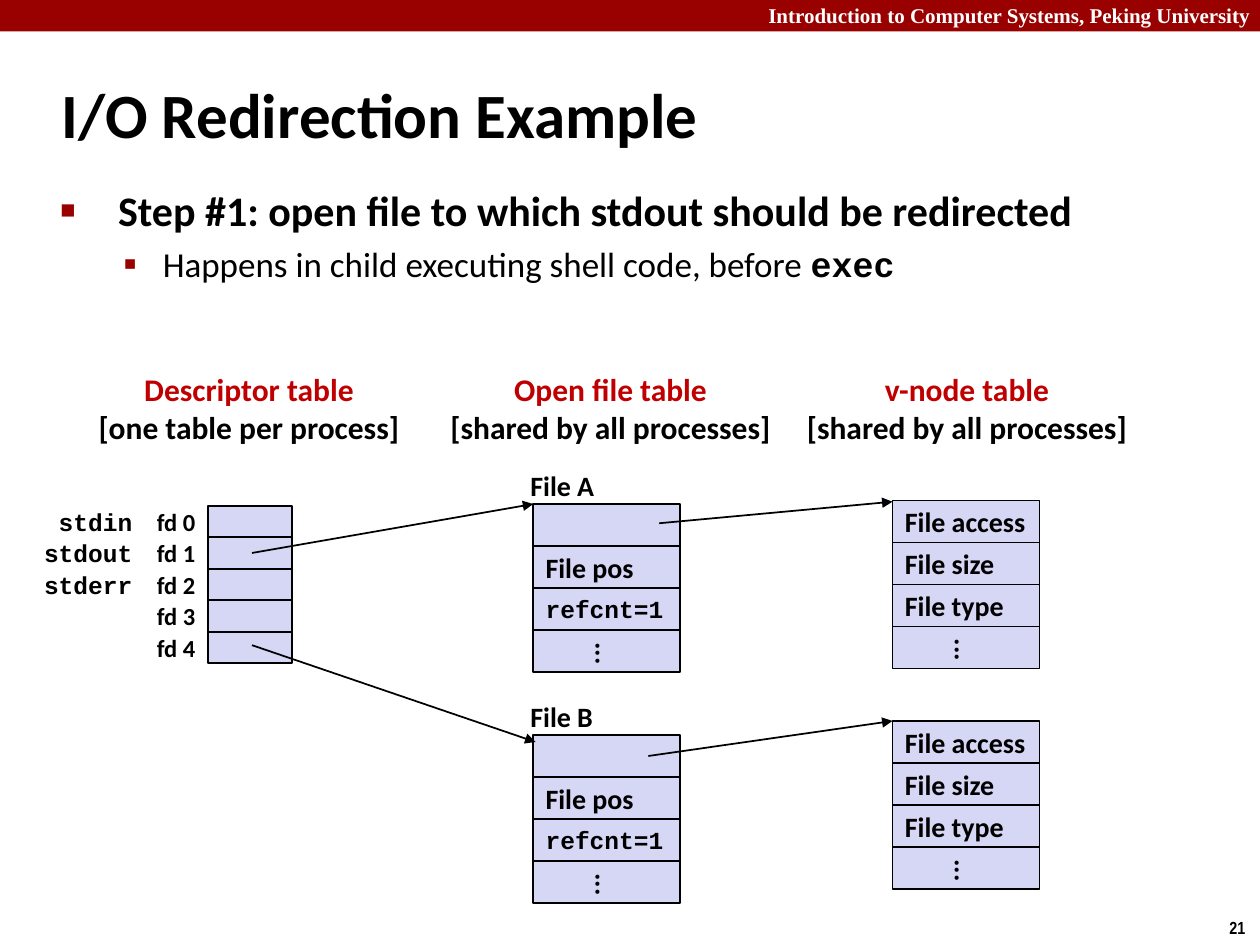
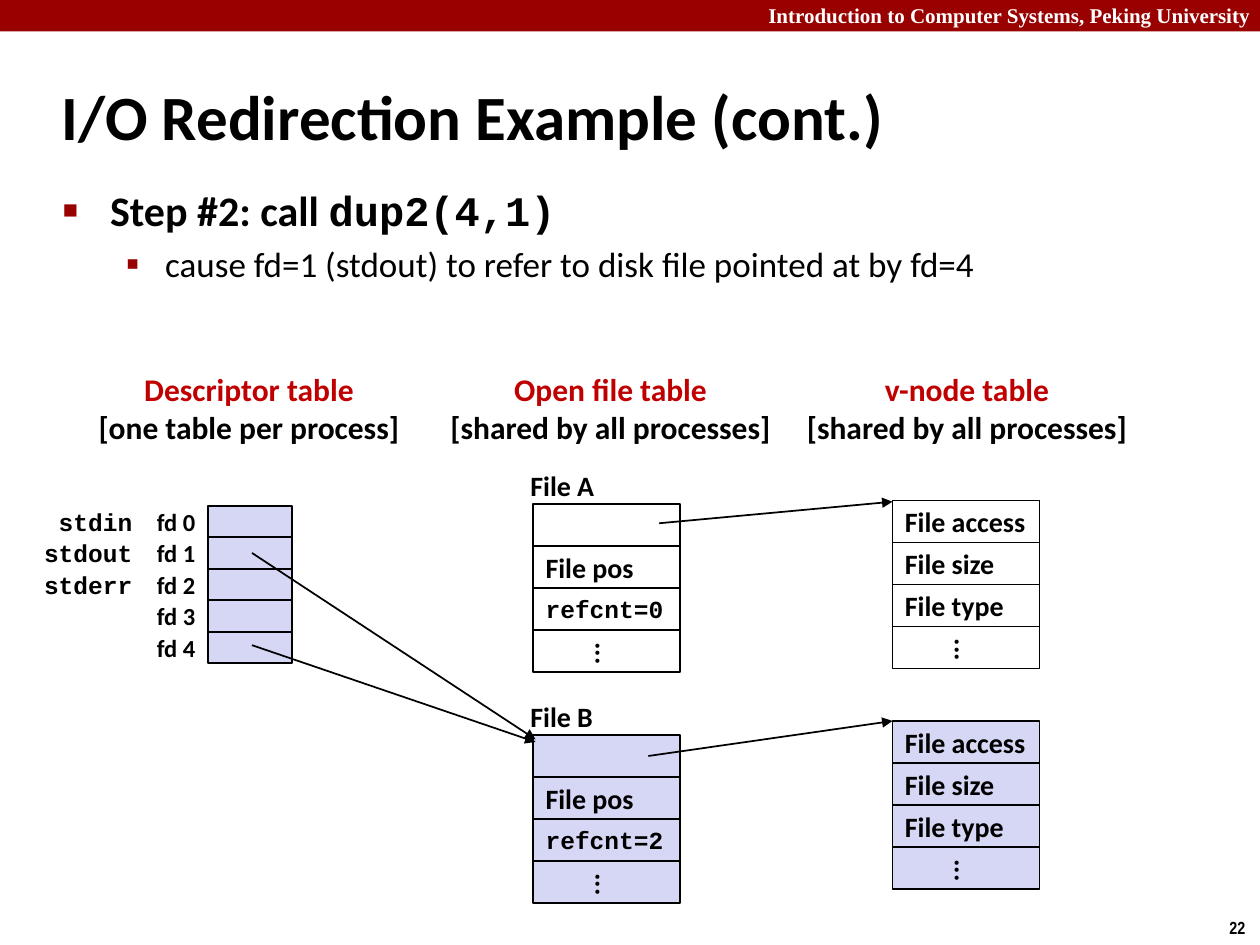
from dataclasses import dataclass
from lxml.etree import SubElement as Sub
from pptx import Presentation as Deck
from pptx.dml.color import RGBColor as Color
from pptx.enum.shapes import MSO_CONNECTOR as Link, MSO_SHAPE as Shape
from pptx.enum.text import MSO_ANCHOR as Anchor, PP_ALIGN as Align
from pptx.oxml.ns import qn
from pptx.util import Pt

BAND = "Introduction to Computer Systems, Peking University"
HEADS = [
    ("Descriptor table", "[one table per process]", 142.3),
    ("Open file table", "[shared by all processes]", 348.9),
    ("v-node table", "[shared by all processes]", 552.6),
]
STREAMS = ["stdin", "stdout", "stderr"]
NODE = ["File access", "File size", "File type", "..."]
PAGES = [
    dict(
        page="21", title="I/O Redirection Example", top=34.6, left=27.4, hang=33,
        step=[("Step #1: open file to which stdout should be redirected", "bold")],
        note=[("Happens in child executing shell code, before ", "plain"), ("exec", "code")],
        counts=(1, 1), fills=("cell", "cell"), goal=(304.7, 288),
    ),
    dict(
        page="22", title="I/O Redirection Example (cont.)", top=36, left=28.8, hang=27,
        step=[("Step #2: call ", "bold"), ("dup2(4,1)", "code")],
        note=[("cause fd=1 (stdout) to refer to disk file pointed at by fd=4", "plain")],
        counts=(0, 2), fills=("white", "cell"), goal=(306, 422.5),
    ),
]

FD_X, FD_Y, FD_W, FD_H, FD_N = 118.7, 289, 48, 18, 5
ROW_W, ROW_H = 84, 24
FILE_X, NODE_X = 304.7, 510
FILES = [
    ("File A", 288, 286, (376.7, 299), (510, 286.7)),
    ("File B", 420, 412, (370.5, 432), (510, 412)),
]


@dataclass(frozen=True)
class Theme:
    band: str = "990000"
    head: str = "C00000"
    cell: str = "D6D6F5"
    white: str = "FFFFFF"
    ink: str = "000000"
    sans: str = "Calibri"
    mono: str = "Courier New"
    serif: str = "Times New Roman"
    slim: str = "Arial Narrow"
    title: int = 36
    step: int = 24
    note: int = 20
    group: int = 18
    label: int = 16
    small: int = 14
    top: int = 12
    page: int = 10


T = Theme()


def style(run, size, face=T.sans, tint=T.ink, bold=True):
    font = run.font
    font.size, font.name, font.bold = Pt(size), face, bold
    font.color.rgb = Color.from_string(tint)


def write(shape, lines, size, face=T.sans, tints=(T.ink,), align=Align.LEFT,
          anchor=Anchor.MIDDLE, wrap=False):
    frame = shape.text_frame
    frame.text = lines
    frame.word_wrap, frame.vertical_anchor = wrap, anchor
    for para, tint in zip(frame.paragraphs, tints):
        para.alignment = align
        style(para.runs[0], size, face, tint)


def place(slide, x, y, w, h):
    return slide.shapes.add_textbox(Pt(x), Pt(y), Pt(w), Pt(h))


def rect(slide, x, y, w, h, fill, line=True):
    box = slide.shapes.add_shape(Shape.RECTANGLE, Pt(x), Pt(y), Pt(w), Pt(h))
    box.shadow.inherit = False
    box.fill.solid()
    box.fill.fore_color.rgb = Color.from_string(fill)
    if line:
        box.line.color.rgb = Color.from_string(T.ink)
        box.line.width = Pt(1)
    else:
        box.line.fill.background()
    return box


def stack(slide, x, y, rows, fill):
    for i, row in enumerate(rows):
        box = rect(slide, x, y + i * ROW_H, ROW_W, ROW_H, fill)
        if not row:
            continue
        if row.startswith("refcnt"):
            write(box, row, T.small, T.mono)
        else:
            write(box, row, T.label)
        if row == "...":
            box.text_frame._txBody.bodyPr.set("vert", "eaVert")


def arrow(slide, start, end):
    line = slide.shapes.add_connector(Link.STRAIGHT, *map(Pt, start + end))
    line.line.color.rgb = Color.from_string(T.ink)
    line.line.width = Pt(1)
    Sub(line.line._get_or_add_ln(), qn("a:tailEnd"), type="triangle")
    Sub(line._element.spPr, qn("a:effectLst"))


def bullet(para, runs, size, mark, scale, left, hang):
    props = para._p.get_or_add_pPr()
    props.set("marL", str(Pt(left)))
    props.set("indent", str(-Pt(hang)))
    Sub(Sub(props, qn("a:buClr")), qn("a:srgbClr"), val=T.band)
    Sub(props, qn("a:buSzPct"), val=str(scale * 1000))
    Sub(props, qn("a:buFont"), typeface="Arial")
    Sub(props, qn("a:buChar"), char=mark)
    for text, kind in runs:
        run = para.add_run()
        run.text = text
        style(run, size, T.mono if kind == "code" else T.sans, bold=kind != "plain")


def frame(slide, page):
    rect(slide, 0, 0, 720, 18, T.band, line=False)
    write(place(slide, 432, -2.2, 293, 21.6), BAND, T.top, T.serif, (T.white,),
          anchor=Anchor.TOP, wrap=True)
    write(place(slide, 695.5, 520.6, 24.5, 19.4), page["page"], T.page, T.slim,
          anchor=Anchor.TOP)
    write(place(slide, 28, page["top"], 598, 60), page["title"], T.title, wrap=True)
    body = place(slide, page["left"], 102.2, 675, 78).text_frame
    body.word_wrap = True
    bullet(body.paragraphs[0], page["step"], T.step, "■", 60, page["hang"], page["hang"])
    note = body.add_paragraph()
    note.level = 1
    note.space_before = Pt(4)
    bullet(note, page["note"], T.note, "▪", 110, 58.5, 22.5)


def tables(slide, page):
    for name, scope, mid in HEADS:
        write(place(slide, mid - 100, 207.4, 200, 51), f"{name}\n{scope}", T.group,
              tints=(T.head, T.ink), align=Align.CENTER)
    for i in range(FD_N):
        y = FD_Y + i * FD_H
        rect(slide, FD_X, y, FD_W, FD_H, T.cell)
        write(place(slide, FD_X - FD_W, y, FD_W, FD_H), f"fd {i}", T.small,
              align=Align.RIGHT)
    for i, name in enumerate(STREAMS):
        write(place(slide, 18, FD_Y - 3 + i * FD_H, 64.8, 24), name, T.small, T.mono,
              align=Align.RIGHT)
    for (name, y, node, start, end), count, fill in zip(FILES, page["counts"], page["fills"]):
        tint = getattr(T, fill)
        stack(slide, FILE_X, y, ["", "File pos", f"refcnt={count}", "..."], tint)
        stack(slide, NODE_X, node, NODE, tint)
        write(place(slide, 296, y - 24, 51, 27), name, T.label)
        arrow(slide, start, end)
    arrow(slide, (144, 316), page["goal"])
    arrow(slide, (144, 368.7), (306, 424))


def main():
    deck = Deck()
    deck.slide_width, deck.slide_height = Pt(720), Pt(540)
    for page in PAGES:
        slide = deck.slides.add_slide(deck.slide_layouts[6])
        frame(slide, page)
        tables(slide, page)
    deck.save("out.pptx")


if __name__ == "__main__":
    main()
